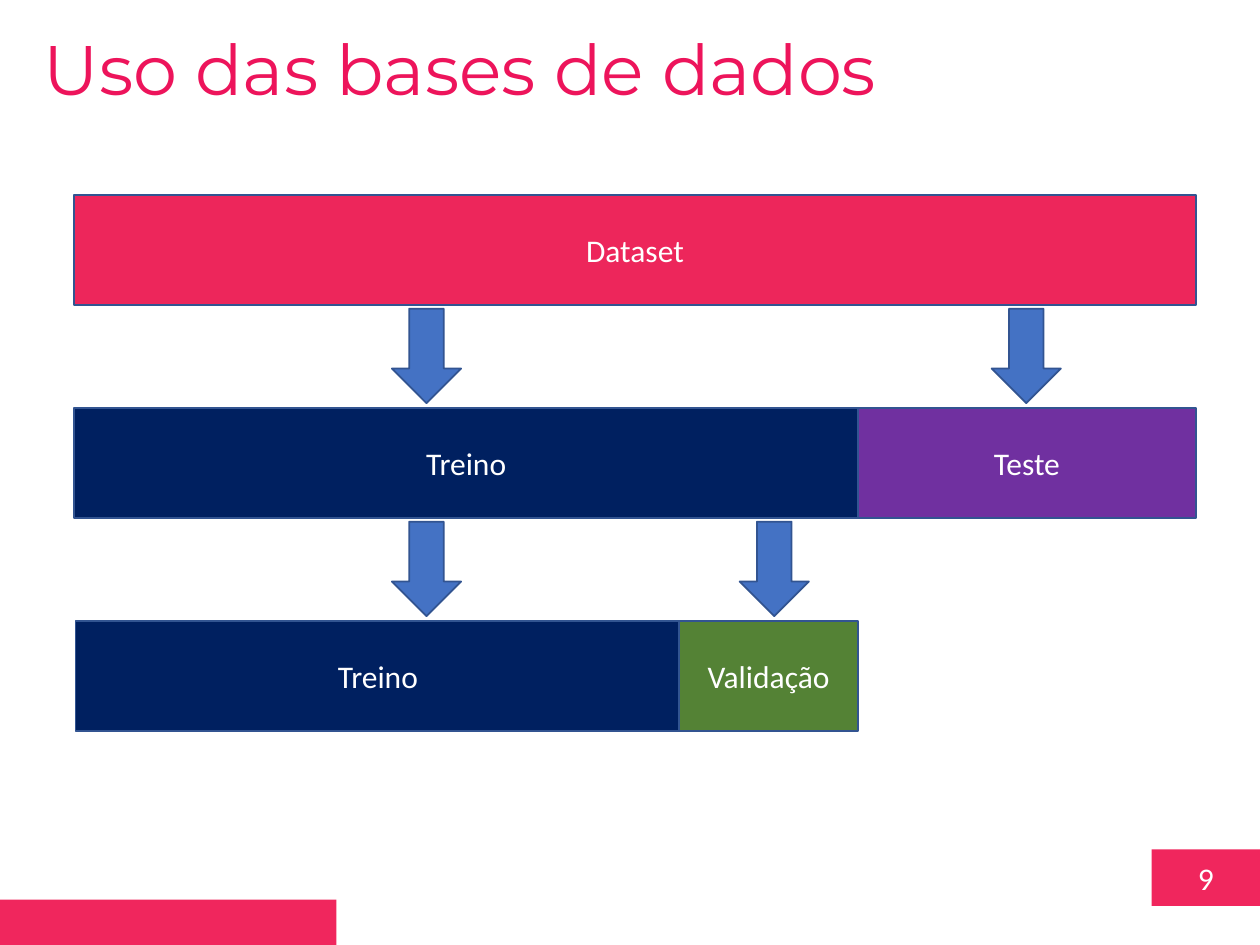
from dataclasses import dataclass
from typing import Optional

from pptx import Presentation
from pptx.dml.color import RGBColor
from pptx.enum.shapes import MSO_SHAPE as Kind
from pptx.enum.text import MSO_ANCHOR as Anchor, PP_ALIGN as Align
from pptx.util import Inches, Pt

WHITE = RGBColor(0xFF, 0xFF, 0xFF)
PINK = RGBColor(0xF0, 0x26, 0x5D)
ROSE = RGBColor(0xED, 0x26, 0x5B)
TITLE = RGBColor(0xED, 0x14, 0x5B)
NAVY = RGBColor(0x00, 0x20, 0x60)
PURPLE = RGBColor(0x70, 0x30, 0xA0)
GREEN = RGBColor(0x54, 0x82, 0x35)
BLUE = RGBColor(0x44, 0x72, 0xC4)
EDGE = RGBColor(0x32, 0x54, 0x91)

TOP, STEP, HIGH = 1.55, 1.69, 0.87
BODY = {"name": "Calibri", "size": Pt(18)}
HEAD = {"name": "Montserrat", "size": Pt(40)}


@dataclass(frozen=True)
class Box:
    left: float
    top: float
    width: float
    height: float
    fill: RGBColor
    text: str = ""
    edge: Optional[RGBColor] = EDGE
    kind: Kind = Kind.RECTANGLE


def write(frame, text: str, style: dict, color: RGBColor) -> None:
    para = frame.paragraphs[0]
    run = para.add_run()
    run.text = text
    for key, value in style.items():
        setattr(run.font, key, value)
    run.font.color.rgb = color


def draw(shapes, box: Box) -> None:
    place = map(Inches, (box.left, box.top, box.width, box.height))
    shape = shapes.add_shape(box.kind, *place)
    shape.shadow.inherit = False
    shape.fill.solid()
    shape.fill.fore_color.rgb = box.fill
    if box.edge is None:
        shape.line.fill.background()
    else:
        shape.line.color.rgb = box.edge
        shape.line.width = Pt(1)
    if box.text:
        frame = shape.text_frame
        frame.vertical_anchor = Anchor.MIDDLE
        frame.paragraphs[0].alignment = Align.CENTER
        write(frame, box.text, BODY, WHITE)


def bar(row: int, left: float, width: float, fill: RGBColor, text: str) -> Box:
    return Box(left, TOP + row * STEP, width, HIGH, fill, text)


def arrow(row: int, left: float) -> Box:
    top = TOP + row * STEP + HIGH + 0.03
    return Box(left, top, 0.55, 0.75, BLUE, kind=Kind.DOWN_ARROW)


def main() -> None:
    deck = Presentation()
    deck.slide_width, deck.slide_height = Inches(10), Inches(7.5)
    shapes = deck.slides.add_slide(deck.slide_layouts[6]).shapes

    draw(shapes, Box(9.14, 6.74, 0.86, 0.45, PINK, "9", None))
    draw(shapes, Box(0, 7.14, 2.67, 0.36, PINK, edge=None))

    title = shapes.add_textbox(*map(Inches, (0.25, 0.15, 6.92, 0.77)))
    write(title.text_frame, "Uso das bases de dados", HEAD, TITLE)

    bars = [
        bar(0, 0.59, 8.9, ROSE, "Dataset"),
        bar(1, 0.59, 6.22, NAVY, "Treino"),
        bar(1, 6.81, 2.68, PURPLE, "Teste"),
        bar(2, 0.6, 4.8, NAVY, "Treino"),
        bar(2, 5.39, 1.42, GREEN, "Validação"),
    ]
    arrows = [arrow(0, 3.11), arrow(1, 3.11), arrow(0, 7.87), arrow(1, 5.87)]
    for box in bars + arrows:
        draw(shapes, box)

    deck.save("out.pptx")


if __name__ == "__main__":
    main()
